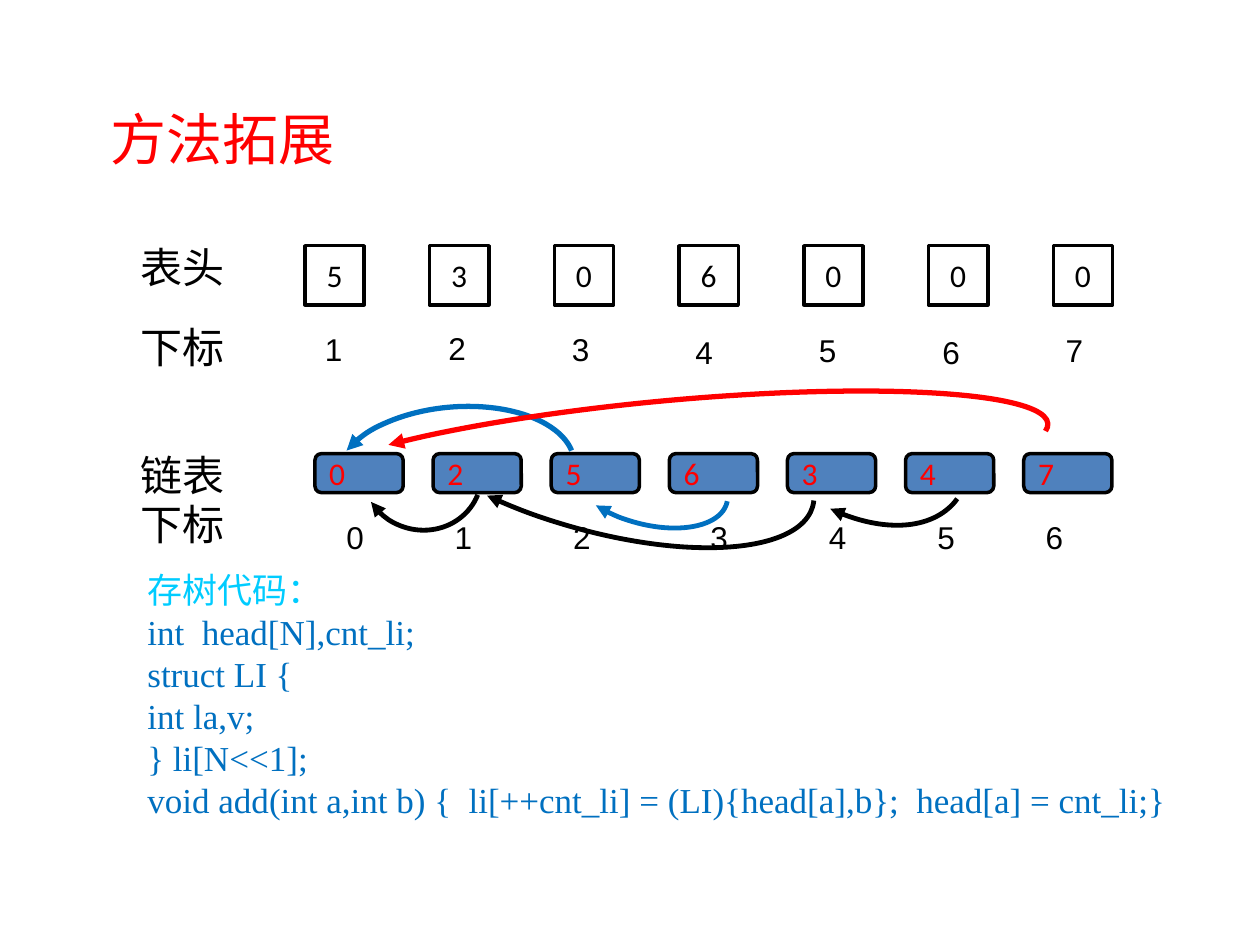
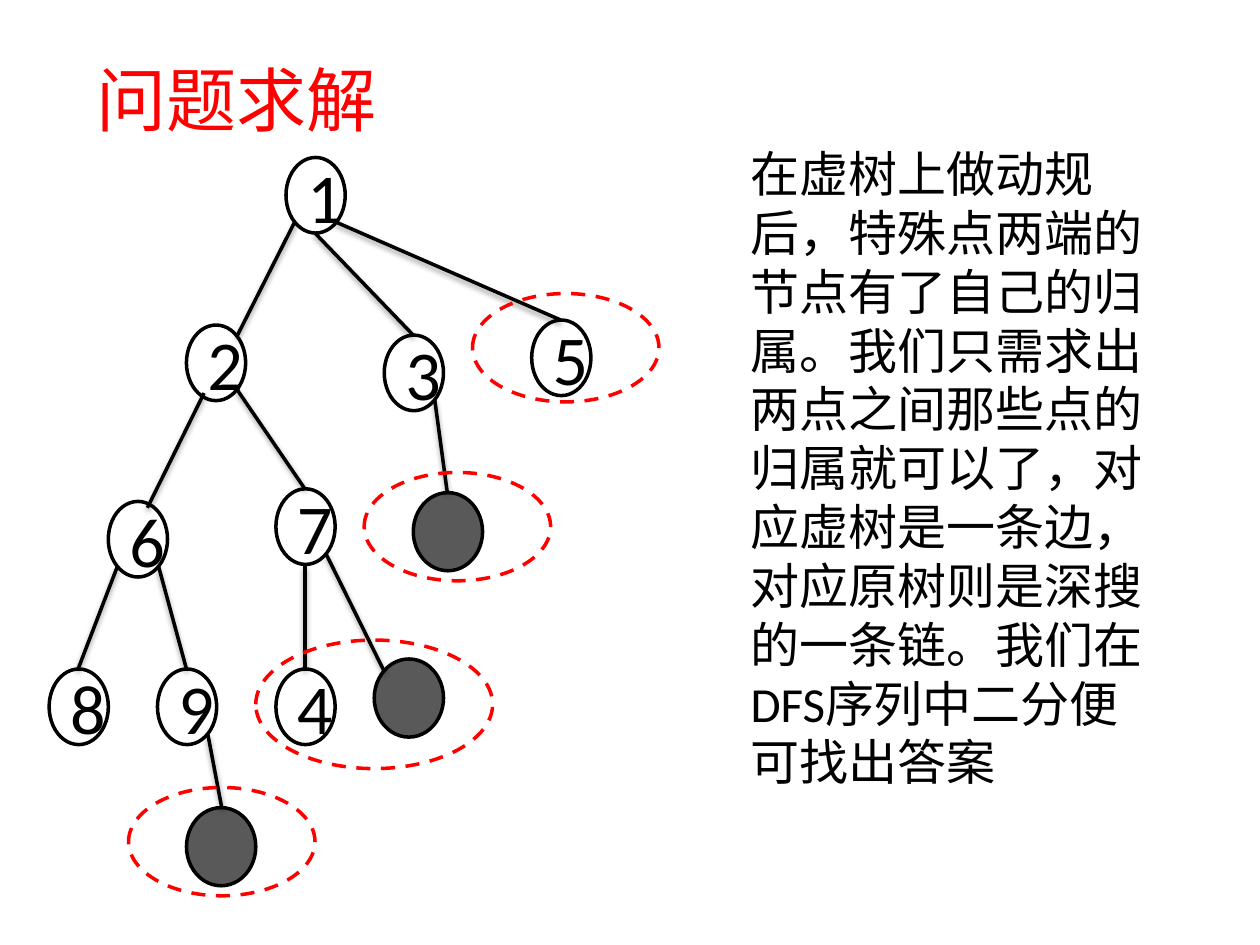
from lxml.etree import SubElement
from pptx import Presentation
from pptx.dml.color import RGBColor
from pptx.enum.dml import MSO_LINE
from pptx.enum.shapes import MSO_CONNECTOR, MSO_SHAPE
from pptx.enum.text import MSO_ANCHOR, MSO_AUTO_SIZE, PP_ALIGN
from pptx.oxml.ns import qn
from pptx.util import Inches, Pt

BLACK = RGBColor(0x00, 0x00, 0x00)
RED = RGBColor(0xFF, 0x00, 0x00)
BLUE = RGBColor(0x00, 0x70, 0xC0)
CYAN = RGBColor(0x00, 0xCC, 0xFF)
NODE_BLUE = RGBColor(0x4F, 0x81, 0xBD)
GREY = RGBColor(0x59, 0x59, 0x59)

CODE = [
    "int  head[N],cnt_li;",
    "struct LI {",
    "int la,v;",
    "} li[N<<1];",
    "void add(int a,int b) {  li[++cnt_li] = (LI){head[a],b};  head[a] = cnt_li;}",
]
EXPLANATION = (
    "在虚树上做动规后，特殊点两端的节点有了自己的归属。"
    "我们只需求出两点之间那些点的归属就可以了，对应虚树是一条边，"
    "对应原树则是深搜的一条链。我们在DFS序列中二分便可找出答案"
)

# Box, rotation, start and end adjustment, colour, width, arrow end
ARCS = [
    ((2.89, 3.27, 0.91, 0.96), 111.7, (162, 22.82), BLACK, 2.75, "tailEnd"),
    ((3.99, 1.66, 1.39, 3.68), 106.5, (161.05, 27.38), BLACK, 2.75, "tailEnd"),
    ((5.92, 2.01, 1.48, 2.4), 130.2, (161.05, 194.81), BLACK, 2.75, "tailEnd"),
    ((4.77, 3.13, 0.7, 1.35), 106.5, (161.05, 27.38), BLUE, 2.75, "tailEnd"),
    ((2.66, 3.23, 1.9, 1.02), 355.1, (117.42, 212.93), BLUE, 3, "headEnd"),
    ((2.29, 3.18, 6.04, 0.92), 354.7, (112.86, 0.67), RED, 3, "headEnd"),
]

TREE_NODES = {
    "1": (2.27, 1.25), "2": (1.48, 2.58), "3": (3.05, 2.66),
    "6": (0.86, 3.98), "7": (2.19, 3.88), "4": (2.19, 5.31),
    "8": (0.39, 5.31), "5": (4.22, 2.54), "9": (1.25, 5.31),
}
SPECIAL_NODES = [(3.28, 3.91), (1.48, 6.41), (2.97, 5.23)]
TREE_EDGES = [
    (2.34, 1.76, 1.88, 2.67), (1.62, 3.12, 1.17, 4.03),
    (2.5, 1.85, 3.28, 2.66), (2.42, 4.49, 2.42, 5.31),
    (1.88, 3.09, 2.42, 3.88), (0.93, 4.5, 0.62, 5.31),
    (2.66, 1.76, 4.45, 2.54), (1.26, 4.5, 1.48, 5.31),
    (1.65, 5.83, 1.76, 6.41), (3.45, 3.17, 3.55, 3.91),
    (2.59, 4.4, 3.05, 5.33),
]
DASHED_RINGS = [
    (2.89, 3.75, 1.48, 0.86), (2.03, 5.08, 1.88, 1.02),
    (1.02, 6.25, 1.48, 0.86), (3.75, 2.33, 1.48, 0.86),
]


def format_para(para, size, color, font="Calibri", align=PP_ALIGN.LEFT):
    para.alignment = align
    para.font.size = Pt(size)
    para.font.name = font
    para.font.color.rgb = color


def keep_punctuation_inside(para):
    """Stop punctuation from hanging past the right edge of the box."""
    para._p.get_or_add_pPr().set("hangingPunct", "0")


def add_title(page, text, area, size, align=PP_ALIGN.LEFT):
    title = page.shapes.title
    title.left, title.top, title.width, title.height = map(Inches, area)
    frame = title.text_frame
    frame.text = text
    frame.auto_size = MSO_AUTO_SIZE.NONE
    frame.vertical_anchor = MSO_ANCHOR.MIDDLE
    format_para(frame.paragraphs[0], size, RED, align=align)


def add_text(page, lines, area, size, color=BLACK, font="Calibri"):
    box = page.shapes.add_textbox(*map(Inches, area))
    frame = box.text_frame
    frame.word_wrap = True
    frame.text = "\n".join(lines)
    for para in frame.paragraphs:
        format_para(para, size, color, font)
    return frame


def add_outlined(page, kind, area, line=BLACK, fill=None, width=2):
    shape = page.shapes.add_shape(kind, *map(Inches, area))
    shape.shadow.inherit = False
    if fill is None:
        shape.fill.background()
    else:
        shape.fill.solid()
        shape.fill.fore_color.rgb = fill
    shape.line.color.rgb = line
    shape.line.width = Pt(width)
    return shape


def add_labelled(page, kind, text, area, size, color=BLACK, fill=None,
                 align=PP_ALIGN.CENTER):
    shape = add_outlined(page, kind, area, fill=fill)
    shape.text_frame.text = text
    format_para(shape.text_frame.paragraphs[0], size, color, align=align)


def add_arc_arrow(page, area, rotation, angles, color, width, arrow_end):
    arc = add_outlined(page, MSO_SHAPE.ARC, area, color, width=width)
    arc.rotation = rotation
    arc.adjustments[0], arc.adjustments[1] = angles
    outline = arc.element.spPr.find(qn("a:ln"))
    SubElement(outline, qn(f"a:{arrow_end}")).set("type", "triangle")


def add_edge(page, ends):
    edge = page.shapes.add_connector(MSO_CONNECTOR.STRAIGHT, *map(Inches, ends))
    edge.line.color.rgb = BLACK
    edge.line.width = Pt(2)


def add_index_row(page, first, lefts, tops):
    for index, (left, top) in enumerate(zip(lefts, tops), first):
        add_text(page, [str(index)], (left, top, 0.55, 0.4), 18, font="Arial")


def build_linked_list(page):
    add_title(page, "方法拓展", (0.78, 0.78, 4.69, 0.64), 32)
    code = add_text(page, ["存树代码：", *CODE], (0.78, 4.46, 8.83, 2.41), 20,
                    BLUE, "Times New Roman")
    code.margin_left = Inches(0.39)
    code.paragraphs[0].font.color.rgb = CYAN

    for column, head in enumerate("5306000"):
        add_labelled(page, MSO_SHAPE.RECTANGLE, head,
                     (2.42 + 0.99 * column, 1.95, 0.47, 0.47), 18)
    for column, value in enumerate("0256347"):
        add_labelled(page, MSO_SHAPE.ROUNDED_RECTANGLE, value,
                     (2.5 + 0.9375 * column, 3.6, 0.7, 0.31), 18, RED,
                     NODE_BLUE, PP_ALIGN.LEFT)
    for arc in ARCS:
        add_arc_arrow(page, *arc)

    for name, top in (("表头", 1.87), ("下标", 2.5), ("链表", 3.52), ("下标", 3.91)):
        add_text(page, [name], (1.02, top, 1.17, 0.5), 24)
    add_index_row(page, 1, [2.48 + 0.98 * column for column in range(7)],
                  [2.57, 2.56, 2.57, 2.59, 2.58, 2.59, 2.58])
    add_index_row(page, 0, [2.65, 3.51, 4.45, 5.54, 6.48, 7.34, 8.2], [4.06] * 7)


def build_virtual_tree(page):
    add_title(page, "问题求解", (0.39, 0.47, 2.97, 0.62), 40, PP_ALIGN.CENTER)
    explanation = add_text(page, [EXPLANATION], (5.86, 1.09, 3.36, 5.28), 28)
    keep_punctuation_inside(explanation.paragraphs[0])
    for name, corner in TREE_NODES.items():
        add_labelled(page, MSO_SHAPE.OVAL, name, (*corner, 0.47, 0.6), 40)
    for corner in SPECIAL_NODES:
        add_outlined(page, MSO_SHAPE.OVAL, (*corner, 0.55, 0.62), fill=GREY)
    for ends in TREE_EDGES:
        add_edge(page, ends)
    for area in DASHED_RINGS:
        ring = add_outlined(page, MSO_SHAPE.OVAL, area, RED)
        ring.line.dash_style = MSO_LINE.DASH


def main():
    deck = Presentation()
    deck.slide_width, deck.slide_height = Inches(10), Inches(7.5)
    title_only = deck.slide_layouts[5]
    for build in (build_linked_list, build_virtual_tree):
        build(deck.slides.add_slide(title_only))
    deck.save("out.pptx")


if __name__ == "__main__":
    main()
